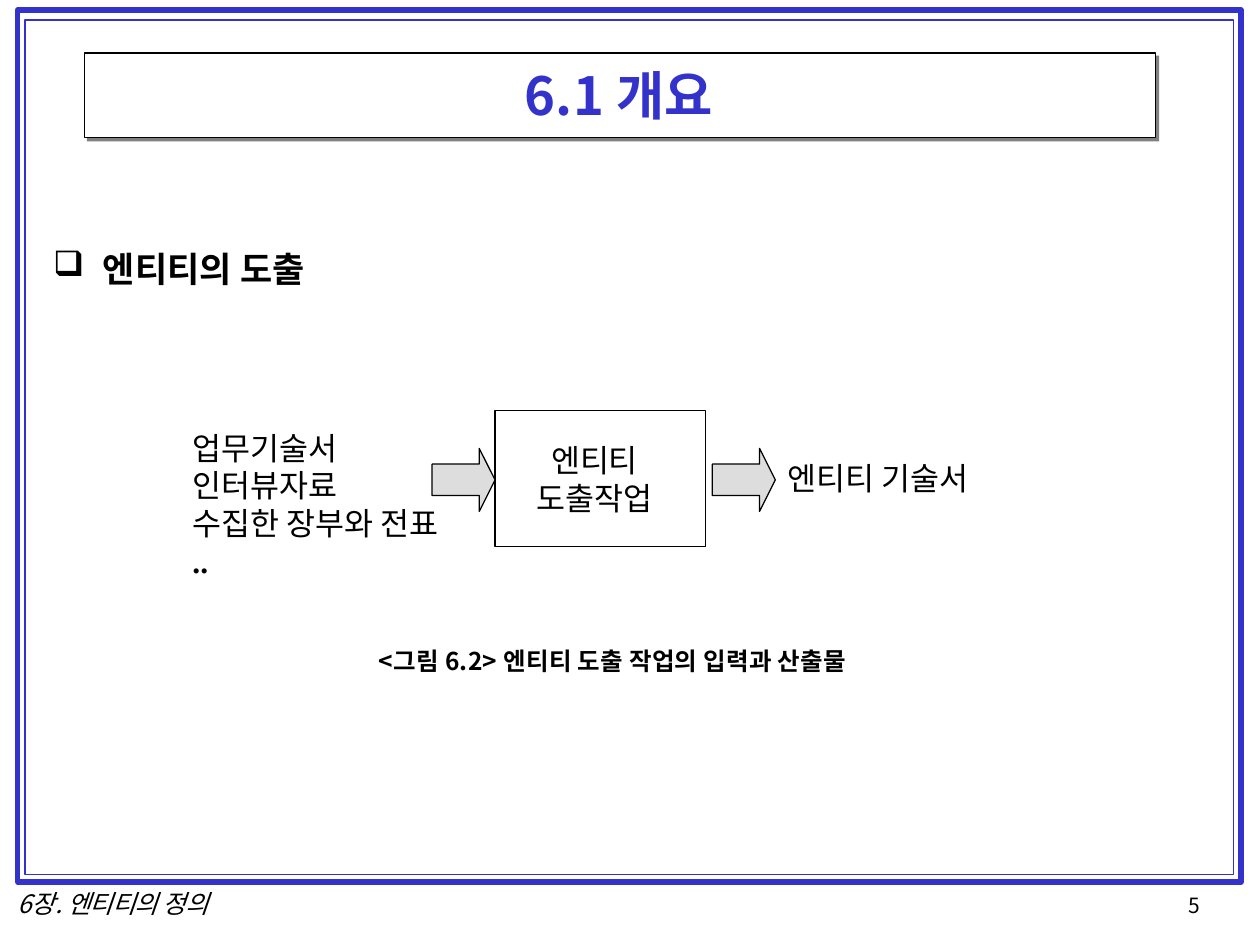
from dataclasses import dataclass

from lxml.etree import SubElement
from pptx import Presentation
from pptx.dml.color import RGBColor
from pptx.enum.shapes import MSO_SHAPE
from pptx.enum.text import MSO_ANCHOR, PP_ALIGN
from pptx.oxml.ns import qn
from pptx.util import Cm, Pt


@dataclass(frozen=True)
class Theme:
    font: str = "Noto Sans CJK KR"
    latin_font: str = "Times New Roman"
    blue: RGBColor = RGBColor(0x33, 0x33, 0xCC)
    black: RGBColor = RGBColor(0, 0, 0)
    white: RGBColor = RGBColor(0xFF, 0xFF, 0xFF)
    shadow: RGBColor = RGBColor(0x80, 0x80, 0x80)
    arrow: RGBColor = RGBColor(0xDD, 0xDD, 0xDD)
    title: float = 30
    heading: float = 20
    body: float = 18
    caption: float = 14
    footer: float = 14.5
    page_number: float = 12
    thin: float = 0.72


theme = Theme()
presentation = Presentation()
presentation.slide_width = Cm(25.4)
presentation.slide_height = Cm(19.05)
slide = presentation.slides.add_slide(presentation.slide_layouts[6])


def add_box(kind, left, top, width, height, fill=None, line=None, line_width=theme.thin):
    shape = slide.shapes.add_shape(kind, Cm(left), Cm(top), Cm(width), Cm(height))
    shape.shadow.inherit = False
    if fill is None:
        shape.fill.background()
    else:
        shape.fill.solid()
        shape.fill.fore_color.rgb = fill
    if line is None:
        shape.line.fill.background()
    else:
        shape.line.color.rgb = line
        shape.line.width = Pt(line_width)
    return shape


def write(paragraph, text, size=theme.body, color=theme.black, font=theme.font, bold=False,
          italic=False, tracking=0, align=PP_ALIGN.LEFT, line_height=None, bullet=None):
    if bullet:
        properties = paragraph._p.get_or_add_pPr()
        properties.set("marL", str(Cm(1)))
        properties.set("indent", str(-Cm(1)))
        SubElement(properties, qn("a:buChar")).set("char", bullet)
    paragraph.alignment = align
    if line_height:
        paragraph.line_spacing = Pt(line_height)
    paragraph.text = text
    for run in paragraph.runs:
        run.font.size = Pt(size)
        run.font.bold = bold
        run.font.italic = italic
        run.font.color.rgb = color
        run.font.name = font
        run_properties = run._r.get_or_add_rPr()
        run_properties.set("spc", str(round(tracking * 100)))
        SubElement(run_properties, qn("a:ea")).set("typeface", font)


add_box(MSO_SHAPE.RECTANGLE, 0.36, 0.2, 24.66, 17.58, line=theme.blue, line_width=3)
add_box(MSO_SHAPE.RECTANGLE, 0.51, 0.41, 24.36, 17.22, line=theme.blue, line_width=0.96)
add_box(MSO_SHAPE.RECTANGLE, 1.75, 1.12, 21.62, 1.73, fill=theme.shadow)
add_box(MSO_SHAPE.RECTANGLE, 1.7, 1.07, 21.59, 1.7, fill=theme.white, line=theme.black)

process = add_box(MSO_SHAPE.RECTANGLE, 9.98, 8.28, 4.24, 2.74, line=theme.black)
process_frame = process.text_frame
process_frame.word_wrap = True
process_frame.vertical_anchor = MSO_ANCHOR.MIDDLE
process_frame.margin_left = process_frame.margin_top = process_frame.margin_bottom = 0
process_frame.margin_right = Cm(0.23)
write(process_frame.paragraphs[0], "엔티티\v도출작업", align=PP_ALIGN.CENTER)

for arrow_left in (8.71, 14.36):
    arrow = add_box(MSO_SHAPE.RIGHT_ARROW, arrow_left, 9.04, 1.27, 1.27,
                    fill=theme.arrow, line=theme.black)
    arrow.adjustments[0] = 0.5
    arrow.adjustments[1] = 0.25

text_blocks = [
    (1.7, 1.27, 21.56, 1.35, [
        ("6.1 개요", dict(size=theme.title, color=theme.blue, bold=True, tracking=0.1,
                        align=PP_ALIGN.CENTER))]),
    (1.07, 4.98, 5.41, 0.91, [
        ("엔티티의 도출", dict(size=theme.heading, bold=True, tracking=0.1, bullet="❑"))]),
    (7.64, 13.03, 10.19, 0.66, [
        ("<그림 6.2> 엔티티 도출 작업의 입력과 산출물",
         dict(size=theme.caption, bold=True, tracking=0.15))]),
    (3.88, 8.64, 5.46, 3.12, [
        ("업무기술서", {}),
        ("인터뷰자료", {}),
        ("수집한 장부와 전표", dict(line_height=21.5)),
        ("..", dict(font=theme.latin_font, bold=True, tracking=0.1, line_height=21.5))]),
    (15.87, 9.25, 4.04, 0.84, [("엔티티 기술서", {})]),
    (0.36, 17.93, 4.5, 0.58, [
        ("6장. 엔티티의 정의",
         dict(size=theme.footer, italic=True, tracking=-0.45, line_height=16.6))]),
    (23.95, 18.01, 0.48, 0.48, [
        ("5", dict(size=theme.page_number, line_height=13.7))]),
]
for left, top, width, height, lines in text_blocks:
    text_box = slide.shapes.add_textbox(Cm(left), Cm(top), Cm(width), Cm(height))
    frame = text_box.text_frame
    frame.word_wrap = True
    frame.margin_left = frame.margin_top = frame.margin_right = frame.margin_bottom = 0
    for index, (text, text_format) in enumerate(lines):
        paragraph = frame.add_paragraph() if index else frame.paragraphs[0]
        write(paragraph, text, **text_format)

presentation.save("out.pptx")
